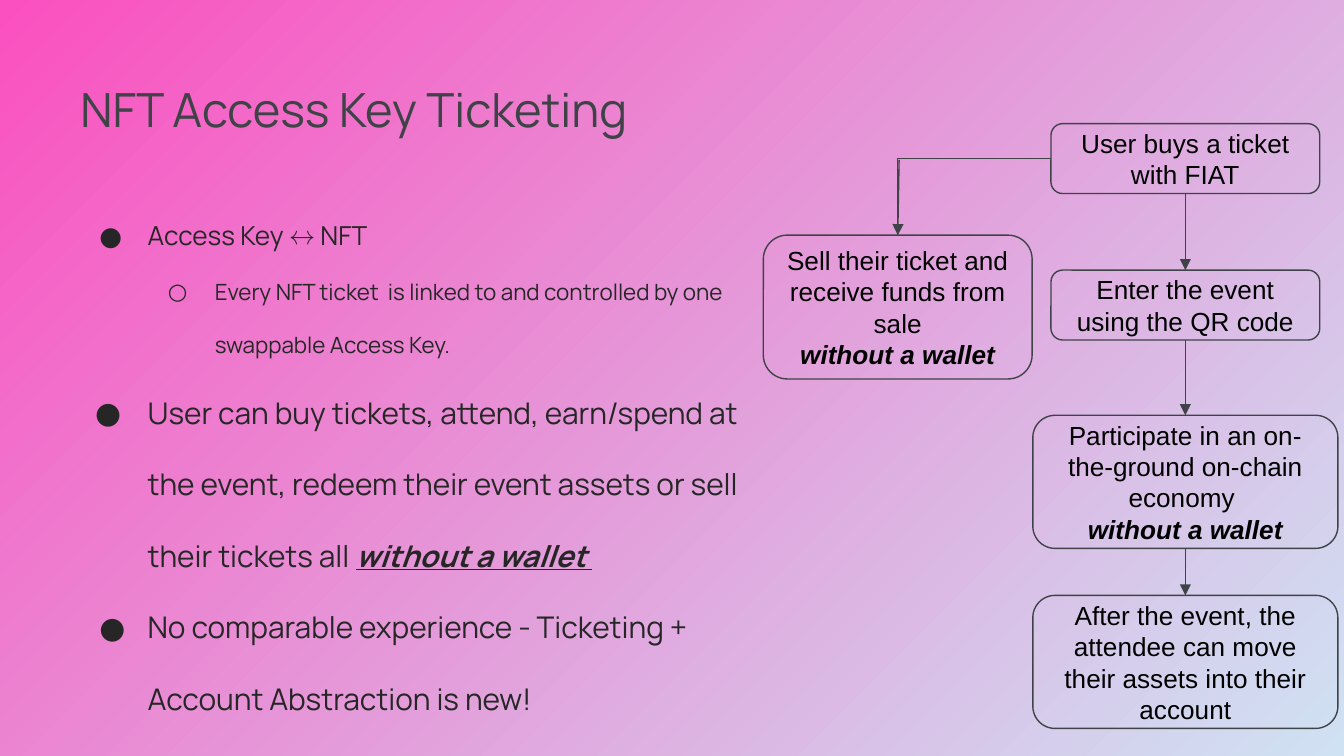
from itertools import pairwise

from pptx import Presentation
from pptx.dml.color import RGBColor
from pptx.enum.shapes import MSO_CONNECTOR as CONN, MSO_SHAPE as SHAPE
from pptx.enum.text import MSO_ANCHOR as ANCHOR, PP_ALIGN as ALIGN
from pptx.oxml.ns import qn
from pptx.util import Inches, Pt
from lxml import etree

THEME = {
    "bg": ("FB50BF", "CFE2F3"), "ink": "262626", "line": "3F4246", "box": "000000",
    "head_font": "Manrope", "box_font": "Arial",
    "title": 25.2, "small": 12, "medium": 14, "large": 16, "stroke": 0.75,
}
TITLE = "NFT Access Key Ticketing"
STRONG = {"bold": True, "italic": True}
BULLETS = [
    (0, 0.36, "medium", [("Access Key ↔ NFT", {})]),
    (1, 0.35, "small", [("Every NFT ticket  is linked to and controlled by one swappable Access Key.", {})]),
    (0, 0.39, "large", [
        ("User can buy tickets, attend, earn/spend at the event, redeem their event assets or sell their tickets all ", {}),
        ("without a wallet", {**STRONG, "underline": True}),
        (" ", {"underline": True}),
    ]),
    (0, 0.36, "large", [("No comparable experience - Ticketing + Account Abstraction is new!", {})]),
]
NO_WALLET = ("without a wallet", STRONG)
MAIN_X, SIDE_X = 8.82, 6.68
STEPS = [
    (0.92, 2, 0.52, [("User buys a ticket with FIAT", {})]),
    (2.01, 2, 0.52, [("Enter the event using the QR code", {})]),
    (3.09, 2.27, 0.99, [("Participate in an on-the-ground on-chain economy ", {}), NO_WALLET]),
    (4.43, 2.27, 0.99, [("After the event, the attendee can move their assets into their account", {})]),
]
SELL = (1.75, 2, 1.07, [("Sell their ticket and receive funds from sale", {}), NO_WALLET])


def rgb(name):
    return RGBColor.from_string(THEME[name])


def add_text(p, text, size="medium", font="box_font", color="box", bold=False, italic=False, underline=False):
    r = p.add_run()
    r.text = text
    f = r.font
    f.name, f.size, f.color.rgb = THEME[font], Pt(THEME[size]), rgb(color)
    f.bold, f.italic, f.underline = bold, italic, underline


def add_frame(s, left, top, width, height):
    tf = s.shapes.add_textbox(*map(Inches, (left, top, width, height))).text_frame
    set_frame(tf, ANCHOR.TOP)
    return tf


def set_frame(tf, anchor):
    tf.word_wrap, tf.vertical_anchor = True, anchor
    tf.margin_left = tf.margin_right = tf.margin_top = tf.margin_bottom = Inches(0.1)


def paragraphs(tf, count):
    return [tf.paragraphs[0]] + [tf.add_paragraph() for _ in range(count - 1)]


def set_bullet(p, level, hang):
    pPr = p._p.get_or_add_pPr()
    pPr.set("marL", str(Inches(0.5 * (level + 1))))
    pPr.set("indent", str(-Inches(hang)))
    clr = etree.SubElement(pPr, qn("a:buClr"))
    etree.SubElement(clr, qn("a:srgbClr"), val=THEME["ink"])
    etree.SubElement(pPr, qn("a:buFont"), typeface=THEME["head_font"])
    etree.SubElement(pPr, qn("a:buChar"), char="●○"[level])
    p.level, p.line_spacing = level, 2.0


def add_box(s, center, top, width, height, lines):
    sp = s.shapes.add_shape(SHAPE.ROUNDED_RECTANGLE, *map(Inches, (center - width / 2, top, width, height)))
    sp.adjustments[0] = 0.167
    sp.shadow.inherit = False
    sp.fill.background()
    sp.line.color.rgb, sp.line.width = rgb("line"), Pt(THEME["stroke"])
    set_frame(sp.text_frame, ANCHOR.MIDDLE)
    for p, (text, fmt) in zip(paragraphs(sp.text_frame, len(lines)), lines):
        p.alignment = ALIGN.CENTER
        add_text(p, text, **fmt)
    return sp


def add_link(s, begin, end, kind=CONN.STRAIGHT, arrow=True):
    c = s.shapes.add_connector(kind, *begin, *end)
    c.line.color.rgb, c.line.width = rgb("line"), Pt(THEME["stroke"])
    if arrow:
        etree.SubElement(c.line._get_or_add_ln(), qn("a:tailEnd"), type="triangle")
    etree.SubElement(c._element.spPr, qn("a:effectLst"))
    return c


def main():
    prs = Presentation()
    prs.slide_width = Inches(10)
    prs.slide_height = prs.slide_width * 9 // 16
    s = prs.slides.add_slide(prs.slide_layouts[6])
    fill = s.background.fill
    fill.gradient()
    fill.gradient_angle = 315
    for i, color in enumerate(THEME["bg"]):
        stop = fill.gradient_stops[i]
        stop.position, stop.color.rgb = i, RGBColor.from_string(color)

    body = add_frame(s, 0.5, 1.3, 5.18, 4.23)
    for p, (level, hang, size, runs) in zip(paragraphs(body, len(BULLETS)), BULLETS):
        set_bullet(p, level, hang)
        for text, fmt in runs:
            add_text(p, text, size=size, font="head_font", color="ink", **fmt)
    title = add_frame(s, 0.5, 0.5, 9.32, 0.63)
    add_text(title.paragraphs[0], TITLE, size="title", font="head_font", color="line")

    steps = [add_box(s, MAIN_X, *step) for step in STEPS]
    sell = add_box(s, SIDE_X, *SELL)
    for a, b in pairwise(steps):
        x = Inches(MAIN_X)
        c = add_link(s, (x, a.top + a.height), (x, b.top))
        c.begin_connect(a, 2)
        c.end_connect(b, 0)

    buy = steps[0]
    corner_y = buy.top + buy.height // 2
    target = (Inches(SIDE_X), sell.top)
    elbow = add_link(s, (buy.left, corner_y), target, kind=CONN.ELBOW, arrow=False)
    elbow._element.spPr.find(qn("a:prstGeom")).set("prst", "bentConnector2")
    elbow.begin_connect(buy, 1)
    elbow.end_connect(sell, 0)
    drop = add_link(s, (Inches(SIDE_X + 0.01), corner_y + Inches(0.01)), target)
    drop.end_connect(sell, 0)
    prs.save("out.pptx")


if __name__ == "__main__":
    main()
